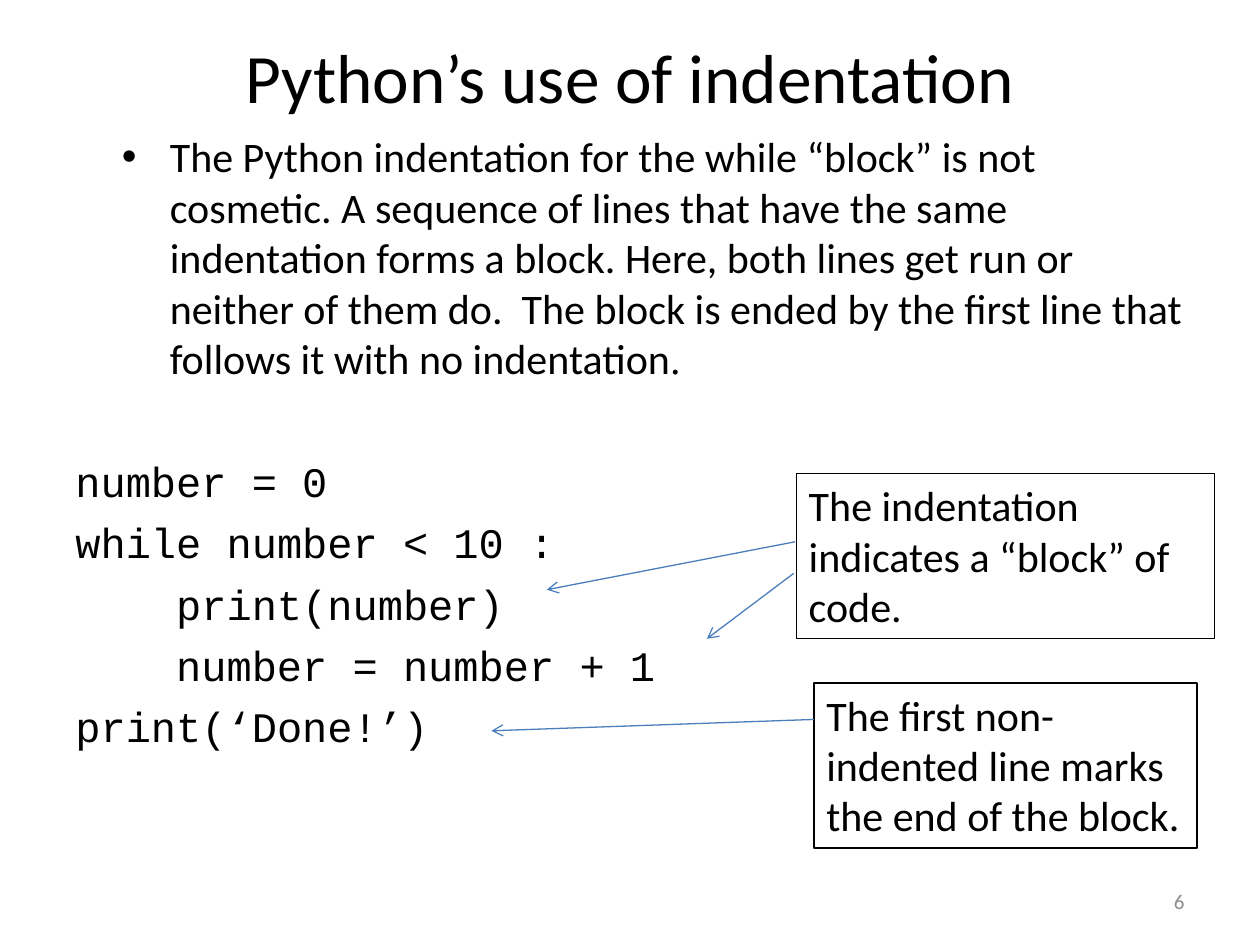
"""Build a slide that explains how Python uses indentation."""
from typing import NamedTuple

from lxml import etree
from pptx import Presentation
from pptx.dml.color import RGBColor
from pptx.enum.shapes import MSO_CONNECTOR, MSO_SHAPE
from pptx.enum.text import MSO_ANCHOR, PP_ALIGN
from pptx.oxml.ns import qn
from pptx.util import Inches, Pt

BLACK = RGBColor(0x00, 0x00, 0x00)
WHITE = RGBColor(0xFF, 0xFF, 0xFF)
GRAY = RGBColor(0x8C, 0x8C, 0x8C)
BLUE = RGBColor(0x4B, 0x7E, 0xBC)
RECTANGLE = MSO_SHAPE.RECTANGLE
STRAIGHT = MSO_CONNECTOR.STRAIGHT
LEFT, CENTER, RIGHT = PP_ALIGN.LEFT, PP_ALIGN.CENTER, PP_ALIGN.RIGHT
TOP, MIDDLE = MSO_ANCHOR.TOP, MSO_ANCHOR.MIDDLE
TEXT_FONT, CODE_FONT = "Calibri", "Courier New"
CODE_INDENT = 0.8
LINE_GAP, CODE_GAP = 6.2, 41.5


class Box(NamedTuple):
    left: float
    top: float
    width: float
    height: float


class Callout(NamedTuple):
    box: Box
    text: str


class Arrow(NamedTuple):
    start: tuple[float, float]
    end: tuple[float, float]


class CodeLine(NamedTuple):
    text: str
    level: int = 0


EXPLANATION = (
    "The Python indentation for the while “block” is not cosmetic. "
    "A sequence of lines that have the same indentation forms a block. "
    "Here, both lines get run or neither of them do.  The block is ended by "
    "the first line that follows it with no indentation"
)
CODE = [
    CodeLine("number = 0"),
    CodeLine("while number < 10 :"),
    CodeLine("print(number)", 1),
    CodeLine("number = number + 1", 1),
    CodeLine("print(‘Done!’)"),
]
CALLOUTS = [
    Callout(Box(6.32, 3.76, 3.32, 1.31), "The indentation indicates a “block” of code."),
    Callout(Box(6.46, 5.42, 3.04, 1.31),
            "The first non-indented line marks the end of the block."),
]
ARROWS = [
    Arrow((6.31, 4.3), (4.34, 4.68)),
    Arrow((6.46, 5.71), (3.9, 5.8)),
    Arrow((6.3, 4.55), (5.61, 5.07)),
]


def to_inches(box: Box) -> list[Inches]:
    """Convert a box to lengths."""
    return [Inches(value) for value in box]


def add_run(paragraph, text: str, *, size=24, font=TEXT_FONT, color=BLACK):
    """Append a formatted run to a paragraph."""
    run = paragraph.add_run()
    run.text = text
    run.font.size = Pt(size)
    run.font.name = font
    run.font.color.rgb = color
    return run


def prepare_frame(shape, *, anchor=TOP, align=LEFT):
    """Set wrapping and alignment, and return the first paragraph."""
    frame = shape.text_frame
    frame.word_wrap = True
    frame.vertical_anchor = anchor
    paragraph = frame.paragraphs[0]
    paragraph.alignment = align
    return paragraph


def set_title(slide, text: str) -> None:
    """Place and fill the title placeholder."""
    title = slide.shapes.title
    title.left, title.top, title.width, title.height = to_inches(Box(0.5, 0.3, 9, 0.61))
    add_run(prepare_frame(title, anchor=MIDDLE, align=CENTER), text, size=39.6)


def add_body(slide) -> None:
    """Add the bulleted explanation followed by the code."""
    body = slide.shapes.add_textbox(*to_inches(Box(0.5, 0.99, 9, 6.14)))
    paragraph = prepare_frame(body)
    paragraph.space_before = Pt(LINE_GAP)
    properties = paragraph._p.get_or_add_pPr()
    properties.set("marL", str(Inches(0.75)))
    properties.set("indent", str(Inches(-0.38)))
    etree.SubElement(properties, qn("a:buFont"), typeface="Arial")
    etree.SubElement(properties, qn("a:buChar"), char="•")
    add_run(paragraph, EXPLANATION)
    add_run(paragraph, ".", font="Times New Roman")
    for index, line in enumerate(CODE):
        paragraph = body.text_frame.add_paragraph()
        paragraph.space_before = Pt(LINE_GAP if index else CODE_GAP)
        indent = Inches(CODE_INDENT * line.level)
        paragraph._p.get_or_add_pPr().set("marL", str(indent))
        add_run(paragraph, line.text, font=CODE_FONT)


def add_callout(slide, callout: Callout) -> None:
    """Add an outlined note."""
    shape = slide.shapes.add_shape(RECTANGLE, *to_inches(callout.box))
    shape.shadow.inherit = False
    shape.fill.solid()
    shape.fill.fore_color.rgb = WHITE
    shape.line.color.rgb = BLACK
    shape.line.width = Pt(0.75)
    add_run(prepare_frame(shape), callout.text)


def add_arrow(slide, arrow: Arrow) -> None:
    """Add a line with an open arrowhead at its end."""
    points = [Inches(value) for value in arrow.start + arrow.end]
    connector = slide.shapes.add_connector(STRAIGHT, *points)
    connector.line.color.rgb = BLUE
    connector.line.width = Pt(0.75)
    etree.SubElement(connector.line._get_or_add_ln(), qn("a:tailEnd"), type="arrow")
    etree.SubElement(connector._element.spPr, qn("a:effectLst"))


def add_slide_number(slide, number: int) -> None:
    """Add the slide number as a field."""
    box = slide.shapes.add_textbox(*to_inches(Box(7.17, 6.95, 2.33, 0.4)))
    paragraph = prepare_frame(box, anchor=MIDDLE, align=RIGHT)
    run = add_run(paragraph, str(number), size=12, color=GRAY)
    field = etree.SubElement(
        paragraph._p, qn("a:fld"),
        id="{B6F15528-21DE-4FAA-801E-634DDDAF4B2B}", type="slidenum")
    field.extend(list(run._r))
    paragraph._p.remove(run._r)


def main() -> None:
    """Create and save the presentation."""
    presentation = Presentation()
    presentation.slide_width, presentation.slide_height = Inches(10), Inches(7.5)
    presentation.element.set("firstSlideNum", "6")
    slide = presentation.slides.add_slide(presentation.slide_layouts[5])
    set_title(slide, "Python’s use of indentation")
    add_body(slide)
    for callout in CALLOUTS:
        add_callout(slide, callout)
    for arrow in ARROWS:
        add_arrow(slide, arrow)
    add_slide_number(slide, 6)
    presentation.save("out.pptx")


main()
